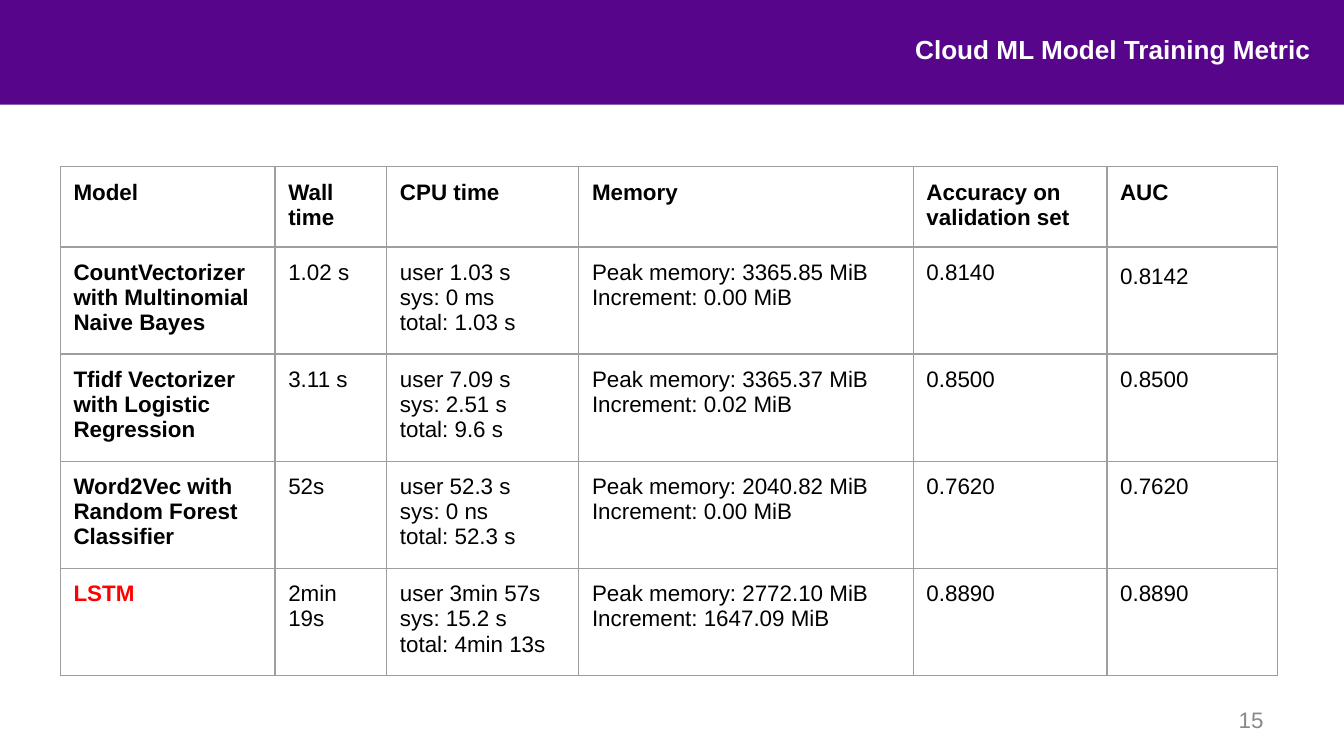
"""Build the slide that compares training metrics of four text models."""
from dataclasses import dataclass

from lxml.etree import SubElement
from pptx import Presentation
from pptx.dml.color import RGBColor
from pptx.enum.shapes import MSO_SHAPE as Shape
from pptx.enum.text import MSO_ANCHOR as Anchor, PP_ALIGN as Align
from pptx.oxml.ns import qn
from pptx.util import Cm, Pt

COLORS = {
    "band": "57068C",
    "title": "FFFFFF",
    "number": "898989",
    "text": "000000",
    "best": "FF0000",
    "border": "9E9E9E",
}
HEADERS = ("Model", "Wall time", "CPU time", "Memory", "Accuracy on validation set", "AUC")
COLUMN_WIDTHS = (4.06, 2.11, 3.63, 6.32, 3.66, 3.23)
ROW_HEIGHTS = (1.27, 1.27, 1.27, 1.7, 1.7)
CELL_MARGIN = 0.25
BORDER_WIDTH = 0.75


@dataclass(frozen=True)
class Label:
    """A right-aligned text box with its place in centimetres."""
    text: str
    place: tuple[float, float, float, float]
    margins: tuple[float, float]
    anchor: Anchor
    size: int
    color: str
    bold: bool = False


@dataclass(frozen=True)
class Result:
    """The measurements of one trained model."""
    model: str
    wall: str
    cpu: tuple[str, str, str]
    peak: str
    increment: str
    accuracy: str
    auc: str
    color: str = "text"
    auc_spacing: float = 1.0

    def texts(self) -> tuple[str, ...]:
        """Return the cell texts from left to right."""
        user, system, total = self.cpu
        cpu = f"user {user}\nsys: {system}\ntotal: {total}"
        memory = f"Peak memory: {self.peak} MiB\nIncrement: {self.increment} MiB"
        return self.model, self.wall, cpu, memory, self.accuracy, self.auc


LABELS = (
    Label("Cloud ML Model Training Metric", (15.7, 0.64, 9.07, 0.74), (0, 0),
          Anchor.TOP, 14, "title", True),
    Label("15", (18.21, 13.23, 5.92, 0.76), (0.25, 0.13), Anchor.MIDDLE, 12, "number"),
)
RESULTS = (
    Result("CountVectorizer with Multinomial Naive Bayes", "1.02 s",
           ("1.03 s", "0 ms", "1.03 s"), "3365.85", "0.00", "0.8140", "0.8142",
           auc_spacing=1.15),
    Result("Tfidf Vectorizer with Logistic Regression", "3.11 s",
           ("7.09 s", "2.51 s", "9.6 s"), "3365.37", "0.02", "0.8500", "0.8500"),
    Result("Word2Vec with Random Forest Classifier", "52s",
           ("52.3 s", "0 ns", "52.3 s"), "2040.82", "0.00", "0.7620", "0.7620"),
    Result("LSTM", "2min 19s",
           ("3min 57s", "15.2 s", "4min 13s"), "2772.10", "1647.09", "0.8890", "0.8890",
           color="best"),
)


def apply(target, values: dict) -> None:
    """Set each named attribute of the target."""
    for name, value in values.items():
        setattr(target, name, value)


def rgb(color: str) -> RGBColor:
    """Look up a named colour."""
    return RGBColor.from_string(COLORS[color])


def write(frame, text: str, size: int, color: str, bold: bool,
          align: Align = Align.LEFT, spacing: float = 1.0) -> None:
    """Write one paragraph per line of text."""
    for index, line in enumerate(text.split("\n")):
        para = frame.add_paragraph() if index else frame.paragraphs[0]
        apply(para, {"alignment": align, "line_spacing": spacing})
        span = para.add_run()
        span.text = line
        apply(span.font, {"name": "Arial", "size": Pt(size), "bold": bold})
        span.font.color.rgb = rgb(color)


def draw_band(page) -> None:
    """Draw the coloured band across the top."""
    band = page.shapes.add_shape(Shape.RECTANGLE, 0, 0, Cm(25.4), Cm(1.98))
    band.shadow.inherit = False
    band.fill.solid()
    band.fill.fore_color.rgb = rgb("band")
    band.line.fill.background()


def draw_label(page, label: Label) -> None:
    """Draw one text box."""
    box = page.shapes.add_textbox(*map(Cm, label.place))
    side, edge = map(Cm, label.margins)
    apply(box.text_frame, {
        "word_wrap": True, "vertical_anchor": label.anchor,
        "margin_left": side, "margin_right": side,
        "margin_top": edge, "margin_bottom": edge,
    })
    write(box.text_frame, label.text, label.size, label.color, label.bold, Align.RIGHT)


def format_cell(cell) -> None:
    """Give a cell its margins, borders and empty fill."""
    sides = ("left", "right", "top", "bottom")
    apply(cell, {f"margin_{side}": Cm(CELL_MARGIN) for side in sides})
    properties = cell._tc.get_or_add_tcPr()
    for tag in ("a:lnL", "a:lnR", "a:lnT", "a:lnB"):
        line = SubElement(properties, qn(tag), w=str(Pt(BORDER_WIDTH)))
        fill = SubElement(line, qn("a:solidFill"))
        SubElement(fill, qn("a:srgbClr"), val=COLORS["border"])
    cell.fill.background()


def draw_table(page) -> None:
    """Draw the table of results."""
    table = page.shapes.add_table(
        len(ROW_HEIGHTS), len(HEADERS), Cm(1.14), Cm(3.15),
        Cm(sum(COLUMN_WIDTHS)), Cm(sum(ROW_HEIGHTS))).table
    apply(table, {"first_row": False, "horz_banding": False})
    for column, width in zip(table.columns, COLUMN_WIDTHS):
        column.width = Cm(width)
    for row, height in zip(table.rows, ROW_HEIGHTS):
        row.height = Cm(height)
    for cell, text in zip(table.rows[0].cells, HEADERS):
        format_cell(cell)
        write(cell.text_frame, text, 12, "text", True)
    for number, result in enumerate(RESULTS, start=1):
        for index, text in enumerate(result.texts()):
            cell = table.cell(number, index)
            format_cell(cell)
            is_model = index == 0
            is_auc = index == len(HEADERS) - 1
            write(cell.text_frame, text, 12, result.color if is_model else "text",
                  is_model, spacing=result.auc_spacing if is_auc else 1.0)


def main() -> None:
    """Build and save the deck."""
    deck = Presentation()
    apply(deck, {"slide_width": Cm(25.4), "slide_height": Cm(14.29)})
    page = deck.slides.add_slide(deck.slide_layouts[6])
    draw_band(page)
    for label in LABELS:
        draw_label(page, label)
    draw_table(page)
    deck.save("out.pptx")


if __name__ == "__main__":
    main()
